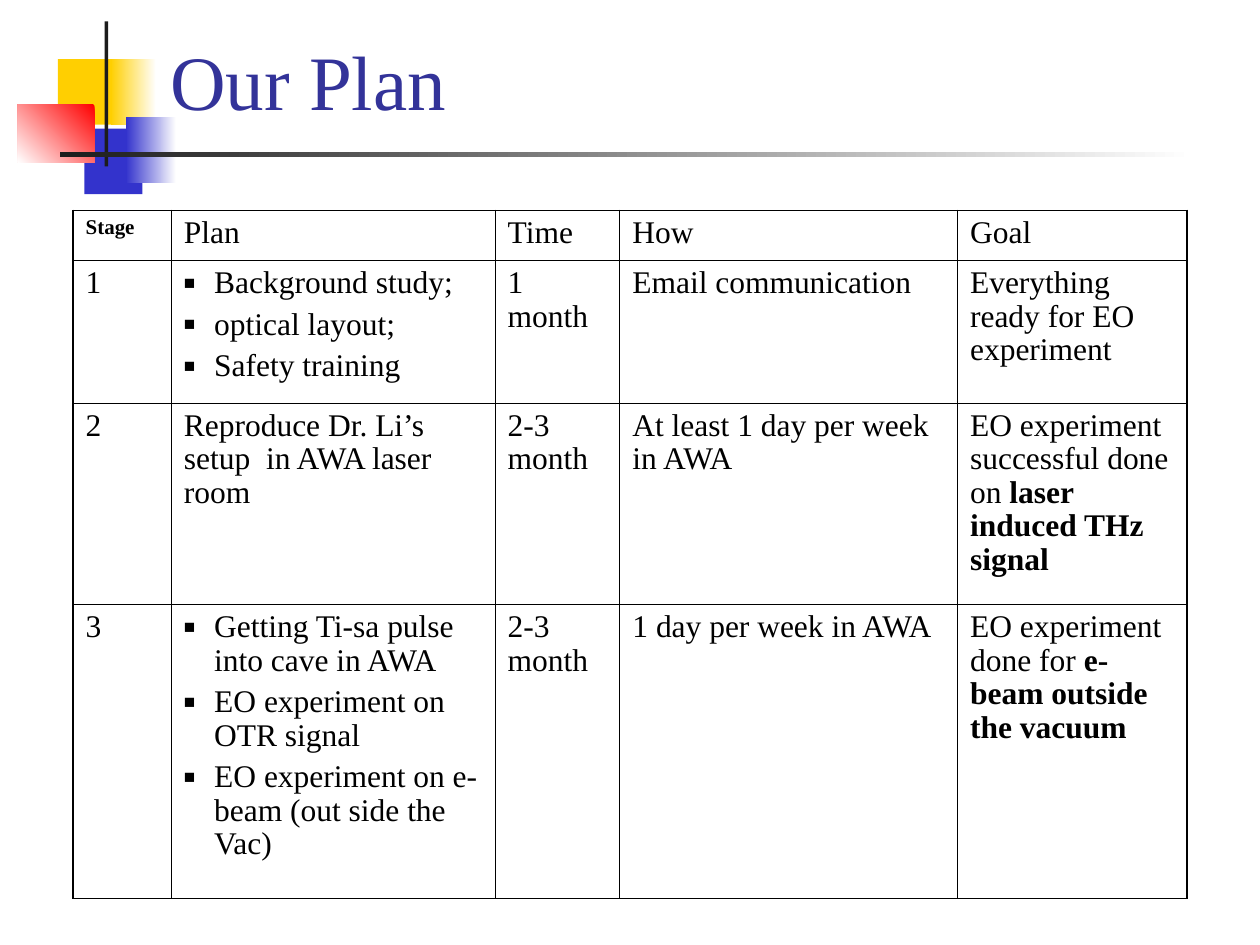
from dataclasses import dataclass

from lxml import etree
from pptx import Presentation
from pptx import util as u
from pptx.dml.color import RGBColor
from pptx.enum import shapes, text
from pptx.oxml import ns


@dataclass(frozen=True)
class Theme:
    face: str = "Times New Roman"
    ink: str = "000000"
    title: str = "333399"
    white: str = "FFFFFF"
    gold: str = "FFCF01"
    blue: str = "3333CC"
    red: str = "FF0000"
    dark: str = "1C1C1C"
    big: float = 44
    body: float = 18
    small: float = 12
    thin: float = 0.45
    thick: float = 1.08


LOOK = Theme()
COLS = [0.78, 2.57, 0.99, 2.68, 1.82]
ROWS = [0.4, 1.13, 1.6, 2.33]
PLAN = [
    ["Stage", "Plan", "Time", "How", "Goal"],
    ["1", "Background study;\noptical layout;\nSafety training", "1 month",
     "Email communication", "Everything ready for EO experiment"],
    ["2", "Reproduce Dr. Li’s setup  in AWA laser room", "2-3 month",
     "At least 1 day per week in AWA",
     "EO experiment successful done on |laser induced THz signal"],
    ["3", "Getting Ti-sa pulse into cave in AWA\nEO experiment on OTR signal\n"
     "EO experiment on e-beam (out side the Vac)", "2-3 month",
     "1 day per week in AWA",
     "EO experiment done for |e-beam outside the vacuum"],
]


def style(font, size, color, bold=False):
    font.name = LOOK.face
    font.size = u.Pt(size)
    font.bold = bold
    font.color.rgb = RGBColor.from_string(color)


def add_block(slide, box, color, end=None, angle=180):
    block = slide.shapes.add_shape(
        shapes.MSO_SHAPE.RECTANGLE, *[u.Inches(n) for n in box])
    block.shadow.inherit = False
    block.line.fill.background()
    if end is None:
        block.fill.solid()
        block.fill.fore_color.rgb = RGBColor.from_string(color)
        return
    block.fill.gradient()
    block.fill.gradient_angle = angle
    for stop, tint in zip(block.fill.gradient_stops, (color, end)):
        stop.color.rgb = RGBColor.from_string(tint)


def add_art(slide):
    add_block(slide, (0.46, 0.47, 0.48, 0.52), LOOK.gold)
    add_block(slide, (0.88, 0.47, 0.36, 0.52), LOOK.white, LOOK.gold)
    add_block(slide, (0.67, 1.02, 0.46, 0.52), LOOK.blue)
    add_block(slide, (1, 0.93, 0.4, 0.52), LOOK.white, LOOK.blue)
    add_block(slide, (0.14, 0.83, 0.61, 0.46), LOOK.red, LOOK.white, 225)
    add_block(slide, (0.83, 0.17, 0.03, 1.15), LOOK.dark)
    add_block(slide, (0.48, 1.21, 9, 0.04), LOOK.white, LOOK.dark)


def set_title(slide, words):
    title = slide.shapes.title
    title.left, title.top = u.Inches(1.25), u.Inches(0.67)
    title.width, title.height = u.Inches(8.52), u.Inches(0.38)
    frame = title.text_frame
    frame.text = words
    frame.auto_size = text.MSO_AUTO_SIZE.NONE
    frame.vertical_anchor = text.MSO_ANCHOR.BOTTOM
    frame.paragraphs[0].alignment = text.PP_ALIGN.LEFT
    style(frame.paragraphs[0].runs[0].font, LOOK.big, LOOK.title)


def add_node(parent, tag, **attrs):
    node = etree.SubElement(parent, ns.qn(tag))
    for key, value in attrs.items():
        node.set(key, str(value))
    return node


def set_edge(cell, side, width):
    props = cell._tc.get_or_add_tcPr()
    line = add_node(props, "a:ln" + side, w=u.Pt(width))
    add_node(add_node(line, "a:solidFill"), "a:srgbClr", val=LOOK.ink)


def add_bullet(para):
    indent = u.Inches(0.24)
    props = para._p.get_or_add_pPr()
    props.set("marL", str(indent))
    props.set("indent", str(-indent))
    add_node(add_node(props, "a:buClr"), "a:srgbClr", val=LOOK.ink)
    add_node(props, "a:buSzPct", val=60000)
    add_node(props, "a:buFont", typeface=LOOK.face)
    add_node(props, "a:buChar", char="■")


def fill_cell(cell, words, head):
    frame = cell.text_frame
    frame.text = words
    paras = frame.paragraphs
    for num, para in enumerate(paras):
        if len(paras) > 1:
            add_bullet(para)
        para.line_spacing = 0.96
        para.space_before = u.Pt(4.5 if num else 0)
        plain, _, strong = para.text.partition("|")
        para.text = plain
        style(para.runs[0].font, LOOK.small if head else LOOK.body,
              LOOK.ink, head)
        if strong:
            run = para.add_run()
            run.text = strong
            style(run.font, LOOK.body, LOOK.ink, True)


def add_plan(slide):
    frame = slide.shapes.add_table(
        len(ROWS), len(COLS), u.Inches(0.58), u.Inches(1.67),
        u.Inches(sum(COLS)), u.Inches(sum(ROWS)))
    table = frame.table
    table.first_row = table.horz_banding = False
    for col, width in zip(table.columns, COLS):
        col.width = u.Inches(width)
    for row, height in zip(table.rows, ROWS):
        row.height = u.Inches(height)
    for r, line in enumerate(PLAN):
        for c, words in enumerate(line):
            cell = table.cell(r, c)
            outer = {"L": c == 0, "R": c == len(COLS) - 1,
                     "T": r == 0, "B": r == len(ROWS) - 1}
            for side, edge in outer.items():
                set_edge(cell, side, LOOK.thick if edge else LOOK.thin)
            cell.fill.background()
            fill_cell(cell, words, r == c == 0)


def main():
    deck = Presentation()
    deck.slide_width, deck.slide_height = u.Inches(10), u.Inches(7.5)
    slide = deck.slides.add_slide(deck.slide_layouts[5])
    add_art(slide)
    add_plan(slide)
    set_title(slide, "Our Plan")
    deck.save("out.pptx")


if __name__ == "__main__":
    main()
